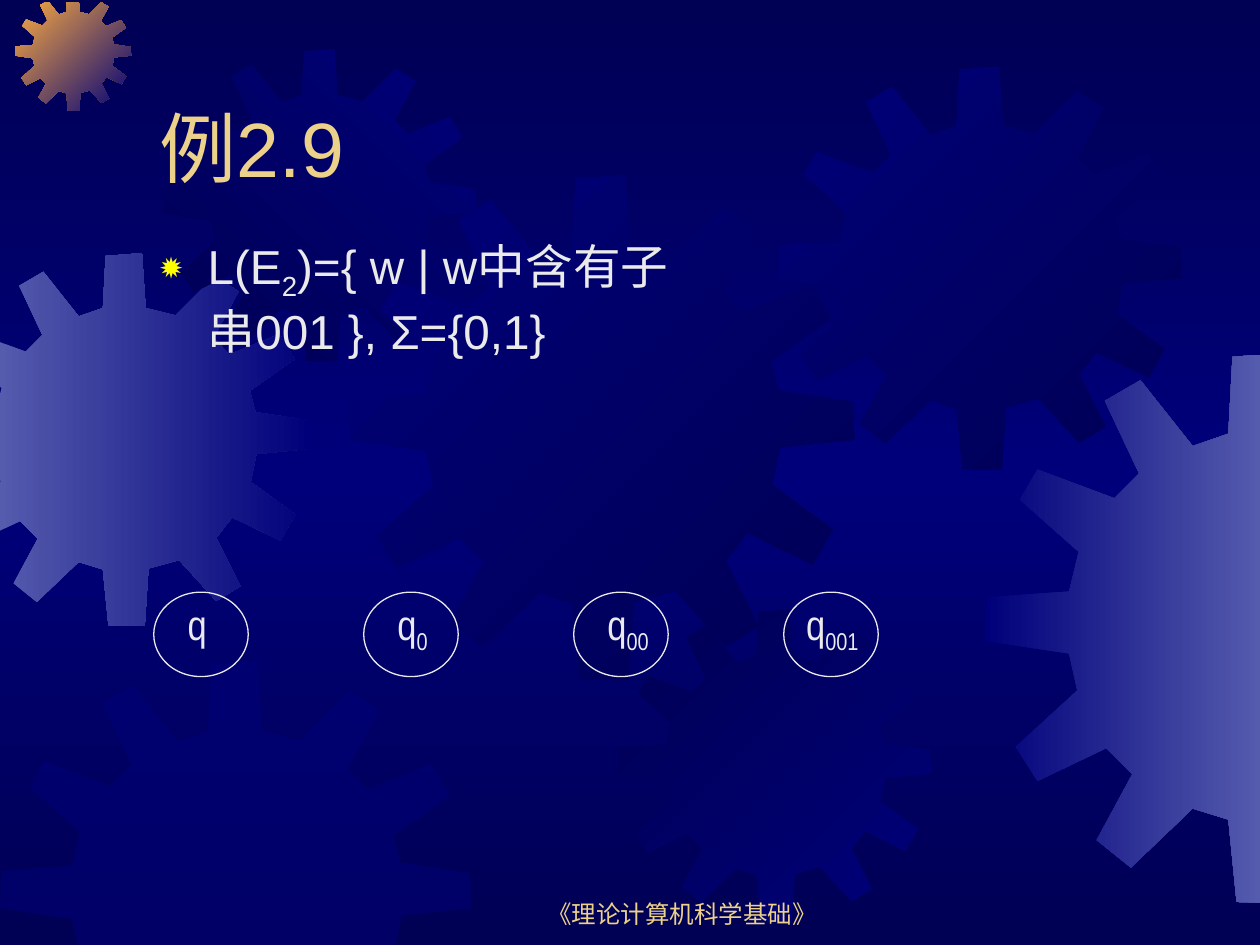
"""Builds the slide for example 2.9: automaton states over a field of gears."""
from copy import deepcopy
from dataclasses import dataclass

from lxml import etree
from pptx import Presentation
from pptx.dml.color import RGBColor
from pptx.enum.shapes import MSO_SHAPE
from pptx.enum.text import MSO_ANCHOR, PP_ALIGN
from pptx.oxml.ns import qn
from pptx.util import Inches, Pt

ELLIPSE = MSO_SHAPE.OVAL
TOP, BOTTOM = MSO_ANCHOR.TOP, MSO_ANCHOR.BOTTOM
LEFT, CENTER = PP_ALIGN.LEFT, PP_ALIGN.CENTER


@dataclass(frozen=True)
class Theme:
    night: str = "000054"
    blue: str = "00007A"
    haze: str = "555BAD"
    orange: str = "FCAB40"
    gold: str = "EBD189"
    pale: str = "EAEAEA"
    yellow: str = "FFFF00"
    font: str = "Arial"
    narrow: str = "Arial Narrow"
    title_size: float = 44
    body_size: float = 27.2
    state_size: float = 24
    footer_size: float = 14


THEME = Theme()
GEAR_SIZE = 401
GEAR_OUTLINE = [
    (255, 67), (223, 59), (219, 0), (180, 3), (177, 59), (151, 68),
    (113, 20), (87, 35), (112, 88), (94, 106), (38, 85), (25, 107),
    (68, 145), (61, 174), (1, 178), (0, 210), (61, 219), (67, 246),
    (22, 287), (38, 312), (88, 288), (107, 307), (81, 355), (106, 375),
    (151, 332), (177, 340), (183, 400), (222, 401), (226, 339), (259, 330),
    (299, 374), (325, 358), (299, 306), (316, 284), (368, 309), (384, 281),
    (336, 246), (342, 216), (401, 210), (400, 180), (341, 171), (335, 148),
    (383, 114), (367, 87), (313, 109), (296, 91), (323, 41), (297, 25),
]
EDGES = [(0, -0.01, 1), (0, 10.01, -1), (1, 0.02, 1), (1, 7.54, -1)]

# left, top, size, colours, clockwise angle
GEARS = [
    (-0.49, 2.01, 2.96, (THEME.haze, THEME.blue), 0),
    (0.12, -0.04, 0.92, (THEME.orange, THEME.blue), 45),
    (1.3, 0.39, 2.48, (THEME.night, THEME.blue), 315),
    (2.77, 1.39, 4.01, (THEME.blue, THEME.night), 45),
    (0, 5.25, 3.74, (THEME.blue,), 0),
    (4.91, 4.84, 2.48, (THEME.night, THEME.blue), 45),
    (6.18, 0.53, 3.2, (THEME.blue, THEME.night), 45),
    (7.82, 2.8, 4.37, (THEME.blue, THEME.haze), 0),
]
STATES = [("", 0.17, 0.5), ("0", 0.17, 0.67), ("00", 0.17, 0.67), ("001", 0.08, 0.67)]


def clip(points, axis, limit, side):
    """Cuts a closed outline along one straight edge."""
    kept = []
    for start, end in zip(points[-1:] + points[:-1], points):
        before, after = ((point[axis] - limit) * side for point in (start, end))
        if before * after < 0:
            share = before / (before - after)
            kept.append(tuple(a + (b - a) * share for a, b in zip(start, end)))
        if after >= 0:
            kept.append(end)
    return kept


def add_span(para, text, *, size, color, font=THEME.font, baseline=0):
    """Adds a formatted run of text to a paragraph."""
    span = para.add_run()
    span.text = text
    span.font.size = Pt(size)
    span.font.name = font
    span.font.color.rgb = RGBColor.from_string(color)
    if baseline:
        span.font._element.set("baseline", str(baseline * 1000))


class Painter:
    """Holds the theme and the current slide."""

    def __init__(self, page, theme):
        self.page = page
        self.theme = theme

    def gradient(self, fill, colors, angle):
        """Applies evenly spaced colours along a clockwise angle."""
        fill.gradient()
        fill.gradient_angle = (360 - angle) % 360
        stops = fill.gradient_stops
        if len(colors) > len(stops):
            last = stops[len(stops) - 1]._gs
            last.addnext(deepcopy(last))
        for index, (stop, color) in enumerate(zip(fill.gradient_stops, colors)):
            stop.color.rgb = RGBColor.from_string(color)
            stop.position = index / (len(colors) - 1)

    def background(self, colors):
        """Paints the slide from top to bottom."""
        self.gradient(self.page.background.fill, colors, 90)

    def gear(self, left, top, size, colors, angle):
        """Draws a gear cut off at the slide edges."""
        scale = size / GEAR_SIZE
        points = [(left + x * scale, top + y * scale) for x, y in GEAR_OUTLINE]
        for edge in EDGES:
            points = clip(points, *edge)
        points = [(Inches(x), Inches(y)) for x, y in points]
        builder = self.page.shapes.build_freeform(*points[0])
        builder.add_line_segments(points[1:], close=True)
        gear = builder.convert_to_shape()
        gear.shadow.inherit = False
        gear.line.fill.background()
        if len(colors) > 1:
            self.gradient(gear.fill, colors, angle)
            return
        gear.fill.solid()
        gear.fill.fore_color.rgb = RGBColor.from_string(colors[0])
        tint = gear._element.spPr.find(qn("a:solidFill"))[0]
        etree.SubElement(tint, qn("a:alpha")).set("val", "50000")

    def text(self, left, top, width, height, spans, *, anchor=TOP, align=LEFT,
             bullet=None, **style):
        """Writes one paragraph of (text, baseline) spans in a box."""
        box = self.page.shapes.add_textbox(*map(Inches, (left, top, width, height)))
        frame = box.text_frame
        frame.word_wrap = True
        frame.vertical_anchor = anchor
        para = frame.paragraphs[0]
        para.alignment = align
        if bullet:
            self.bullet(para, bullet)
        for content, baseline in spans:
            add_span(para, content, baseline=baseline, **style)

    def bullet(self, para, mark):
        """Gives a paragraph a coloured bullet with a hanging indent."""
        props = para._p.get_or_add_pPr()
        props.set("marL", str(Inches(0.38)))
        props.set("indent", str(Inches(-0.38)))
        color = etree.SubElement(props, qn("a:buClr"))
        etree.SubElement(color, qn("a:srgbClr")).set("val", self.theme.yellow)
        etree.SubElement(props, qn("a:buSzPct")).set("val", "80000")
        etree.SubElement(props, qn("a:buChar")).set("char", mark)

    def state(self, left, top, subscript, offset, width):
        """Draws an automaton state with its name."""
        circle = self.page.shapes.add_shape(
            ELLIPSE, Inches(left), Inches(top), Inches(0.75), Inches(0.67))
        circle.shadow.inherit = False
        circle.fill.background()
        circle.line.color.rgb = RGBColor.from_string(self.theme.pale)
        circle.line.width = Pt(0.75)
        spans = [("q", 0), (subscript, -25)] if subscript else [("q", 0)]
        self.text(left + offset, top, width, 0.56, spans, size=self.theme.state_size,
                  color=self.theme.pale, font=self.theme.narrow)


def main():
    """Builds and saves the deck."""
    deck = Presentation()
    deck.slide_width, deck.slide_height = Inches(10), Inches(7.5)
    page = deck.slides.add_slide(deck.slide_layouts[6])
    painter = Painter(page, THEME)
    painter.background((THEME.night, THEME.blue, THEME.night))
    for gear in GEARS:
        painter.gear(*gear)
    painter.text(3.83, 6.92, 3.17, 0.5, [("《理论计算机科学基础》", 0)], anchor=BOTTOM,
                 align=CENTER, size=THEME.footer_size, color=THEME.gold)
    painter.text(1.17, 0.33, 8.5, 1.25, [("例2.9", 0)], anchor=BOTTOM,
                 size=THEME.title_size, color=THEME.gold)
    language = [("L(E", 0), ("2", -25), (")={ w | w中含有子串001 }, Σ={0,1}", 0)]
    painter.text(1.17, 1.83, 4.54, 1.08, language, bullet="✹",
                 size=THEME.body_size, color=THEME.pale)
    for index, state in enumerate(STATES):
        painter.state(1.22 + index * 5 / 3, 4.7, *state)
    deck.save("out.pptx")


if __name__ == "__main__":
    main()
